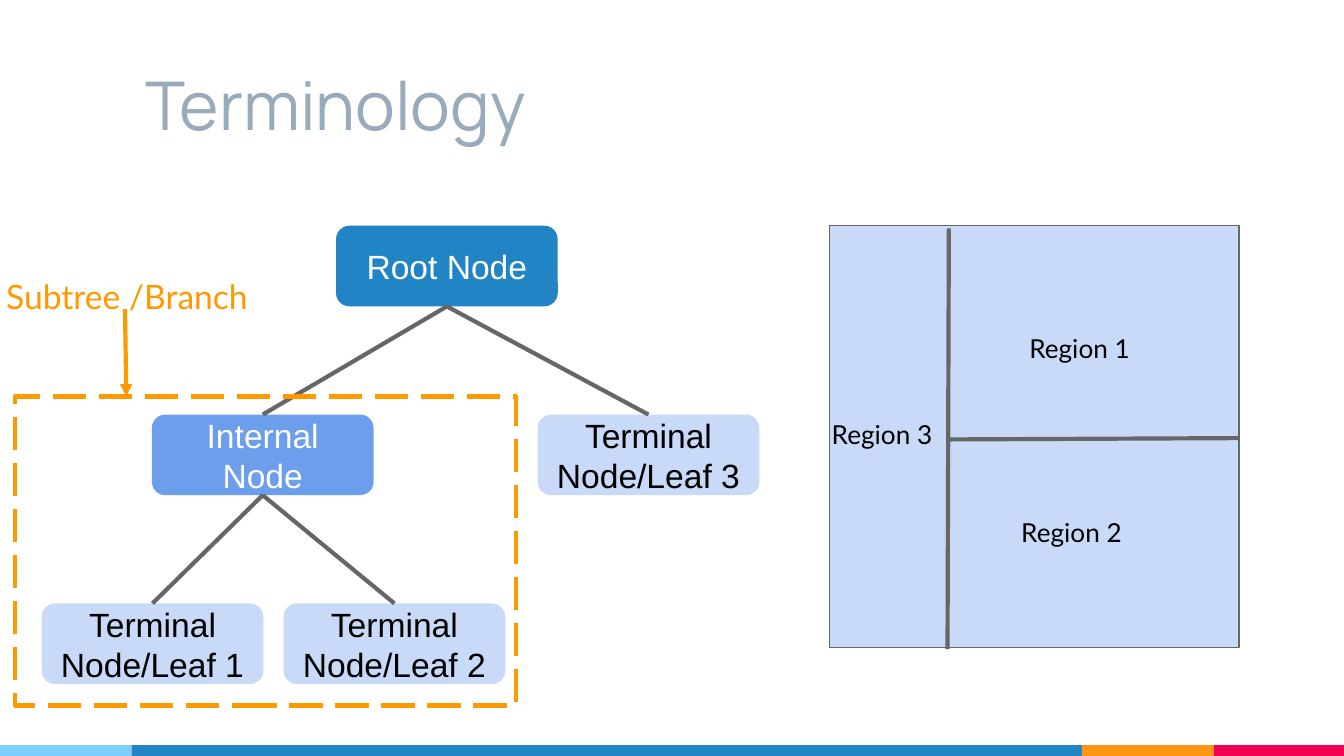
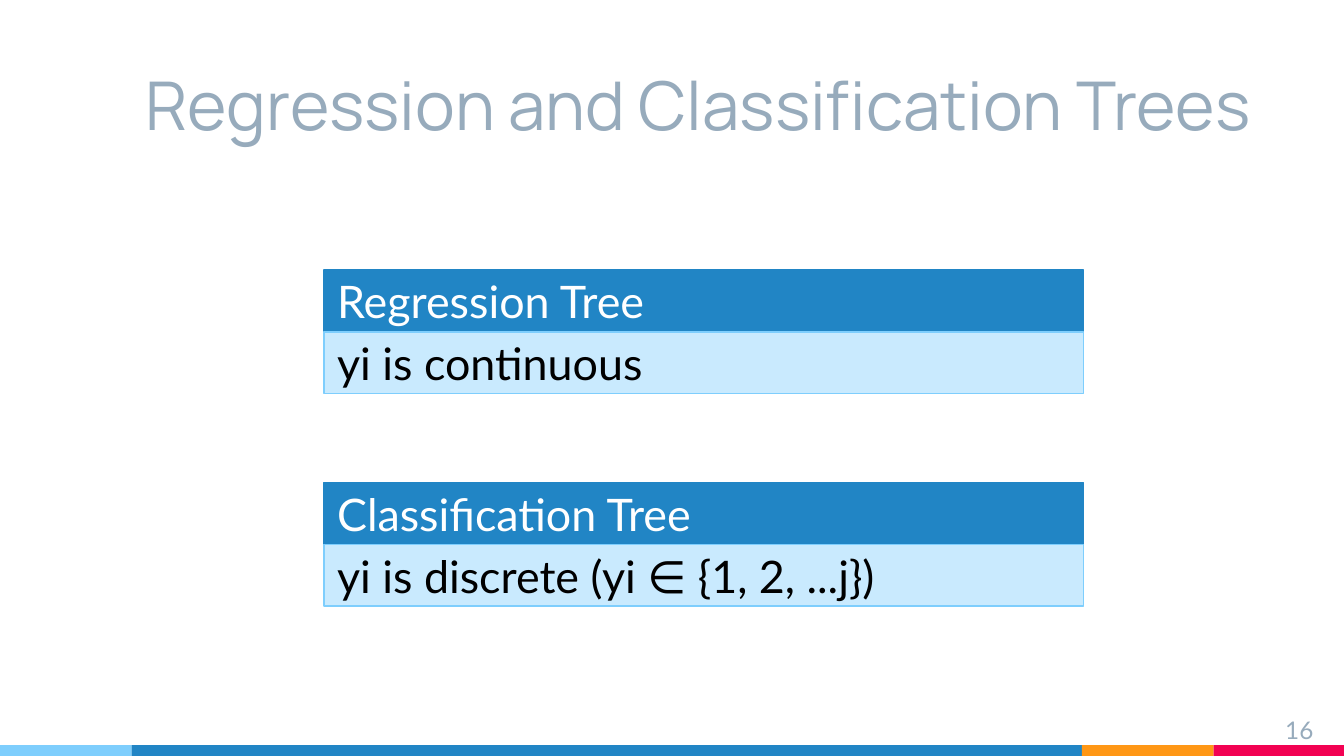
from lxml import etree
from pptx import Presentation
from pptx.dml.color import RGBColor
from pptx.enum.dml import MSO_LINE
from pptx.enum.shapes import MSO_CONNECTOR, MSO_SHAPE
from pptx.enum.text import MSO_ANCHOR, MSO_AUTO_SIZE, PP_ALIGN
from pptx.oxml.ns import qn
from pptx.util import Inches, Pt

RECT, ROUNDED = MSO_SHAPE.RECTANGLE, MSO_SHAPE.ROUNDED_RECTANGLE
STRAIGHT, DASH = MSO_CONNECTOR.STRAIGHT, MSO_LINE.LONG_DASH
LEFT, CENTER, RIGHT = PP_ALIGN.LEFT, PP_ALIGN.CENTER, PP_ALIGN.RIGHT
TOP, MIDDLE, BOTTOM = MSO_ANCHOR.TOP, MSO_ANCHOR.MIDDLE, MSO_ANCHOR.BOTTOM

WHITE = RGBColor(0xFF, 0xFF, 0xFF)
BLACK = RGBColor(0, 0, 0)
BLUE = RGBColor(0x21, 0x85, 0xC5)
SKY = RGBColor(0x7E, 0xCE, 0xFD)
AMBER = RGBColor(0xFF, 0x97, 0x15)
PINK = RGBColor(0xF2, 0x02, 0x53)
SLATE = RGBColor(0x97, 0xAB, 0xBC)
GRAY = RGBColor(0x66, 0x66, 0x66)
CORNFLOWER = RGBColor(0x6D, 0x9E, 0xEB)
PALE = RGBColor(0xC9, 0xDA, 0xF8)
ORANGE = RGBColor(0xFF, 0x99, 0x00)

WIDTH, HEIGHT = 10, 5.625
MARGIN = 0.98
BAND_HEIGHT = 0.08
BAND = [(SKY, MARGIN), (BLUE, 7.07), (AMBER, MARGIN), (PINK, MARGIN)]
THIN, THICK = 0.75, 2.25

NODE_WIDTH, NODE_HEIGHT = 1.65, 0.6
TREE_TOP, LEVEL_PITCH = 1.68, 1.405
NODES = {
    "root": ("Root Node", 2.5, 0, BLUE, WHITE),
    "internal": ("Internal Node", 1.13, 1, CORNFLOWER, WHITE),
    "leaf 3": ("Terminal Node/Leaf 3", 4, 1, PALE, BLACK),
    "leaf 1": ("Terminal Node/Leaf 1", 0.31, 2, PALE, BLACK),
    "leaf 2": ("Terminal Node/Leaf 2", 2.11, 2, PALE, BLACK),
}
BRANCHES = [("root", "internal"), ("root", "leaf 3"),
            ("internal", "leaf 1"), ("internal", "leaf 2")]

PLANE = (6.17, 1.68, 3.05, 3.14)
SPLITS = [((7.06, 1.7), (7.05, 4.83)), ((9.22, 3.26), (7.05, 3.27))]
REGIONS = [("Region 1", 7.56, 2.37), ("Region 2", 7.5, 3.74),
           ("Region 3", 6.09, 3.01)]
SUBTREE = (0.11, 2.95, 3.73, 2.3)

CARD_LEFT, CARD_WIDTH, ROW_HEIGHT = 2.41, 5.65, 0.46
CARD_TOP, CARD_PITCH = 2.01, 1.58
CARDS = [("Regression Tree", "yi is continuous"),
         ("Classification Tree", "yi is discrete (yi ∈ {1, 2, ...j})")]


def write(shape, text, size=18, font="Lato", color=BLACK, align=LEFT, anchor=TOP):
    frame = shape.text_frame
    frame.text = text
    frame.word_wrap = True
    frame.auto_size = MSO_AUTO_SIZE.NONE
    frame.vertical_anchor = anchor
    frame.margin_left = frame.margin_right = Inches(0.1)
    frame.margin_top = frame.margin_bottom = Inches(0.1)
    paragraph = frame.paragraphs[0]
    paragraph.alignment = align
    style = paragraph.runs[0].font
    style.size, style.name, style.color.rgb = Pt(size), font, color


def label(shapes, box, text, **style):
    write(shapes.add_textbox(*map(Inches, box)), text, **style)


def block(shapes, box, fill=None, outline=None, weight=THIN, kind=RECT, alpha=None):
    shape = shapes.add_shape(kind, *map(Inches, box))
    shape.shadow.inherit = False
    if fill is None:
        shape.fill.background()
    else:
        shape.fill.solid()
        shape.fill.fore_color.rgb = fill
    if alpha:
        tint = shape.fill._xPr.find(qn("a:solidFill"))[0]
        etree.SubElement(tint, qn("a:alpha"), val=str(alpha * 1000))
    if outline is None:
        shape.line.fill.background()
    else:
        shape.line.color.rgb = outline
        shape.line.width = Pt(weight)
    return shape


def connect(shapes, start=(0, 0), end=(0, 0), color=GRAY, arrow=False):
    link = shapes.add_connector(STRAIGHT, *map(Inches, (*start, *end)))
    link.line.color.rgb = color
    link.line.width = Pt(THICK)
    if arrow:
        etree.SubElement(link.line._get_or_add_ln(), qn("a:tailEnd"), type="triangle")
    etree.SubElement(link._element.spPr, qn("a:effectLst"))
    return link


def add_slide(deck, title, title_width):
    slide = deck.slides.add_slide(deck.slide_layouts[5])
    left = 0
    for color, width in BAND:
        block(slide.shapes, (left, HEIGHT - BAND_HEIGHT, width, BAND_HEIGHT), color)
        left += width
    heading = slide.shapes.title
    heading.left, heading.top = Inches(MARGIN), Inches(0.23)
    heading.width, heading.height = Inches(title_width), Inches(0.94)
    write(heading, title, size=36, font="Manrope", color=SLATE, anchor=BOTTOM)
    return slide.shapes


def draw_tree(shapes):
    nodes = {}
    for key, (text, left, level, fill, color) in NODES.items():
        box = (left, TREE_TOP + level * LEVEL_PITCH, NODE_WIDTH, NODE_HEIGHT)
        nodes[key] = block(shapes, box, fill, kind=ROUNDED)
        write(nodes[key], text, font="Arial", color=color, align=CENTER, anchor=MIDDLE)
    for parent, child in BRANCHES:
        branch = connect(shapes)
        branch.begin_connect(nodes[parent], 2)
        branch.end_connect(nodes[child], 0)


def draw_regions(shapes):
    block(shapes, PLANE, PALE, GRAY)
    for start, end in SPLITS:
        connect(shapes, start, end)
    for text, left, top in REGIONS:
        label(shapes, (left, top, 1.28, 0.49), text, size=14)


def draw_subtree(shapes):
    frame = block(shapes, SUBTREE, outline=ORANGE, weight=THICK)
    frame.line.dash_style = DASH
    label(shapes, (-0.1, 1.95, 2.09, 0.51), "Subtree /Branch",
          color=ORANGE, align=CENTER)
    connect(shapes, (0.93, 2.3), (0.94, SUBTREE[1]), ORANGE, arrow=True)


def draw_card(shapes, top, heading, definition):
    rows = [(heading, BLUE, WHITE, None), (definition, SKY, BLACK, 41)]
    for index, (text, fill, color, alpha) in enumerate(rows):
        box = (CARD_LEFT, top + index * ROW_HEIGHT, CARD_WIDTH, ROW_HEIGHT)
        row = block(shapes, box, fill, fill, alpha=alpha)
        write(row, text, size=24, color=color, anchor=MIDDLE)


def main():
    deck = Presentation()
    deck.slide_width, deck.slide_height = Inches(WIDTH), Inches(HEIGHT)

    terminology = add_slide(deck, "Terminology", 7.07)
    draw_tree(terminology)
    draw_regions(terminology.add_group_shape().shapes)
    draw_subtree(terminology.add_group_shape().shapes)

    tree_types = add_slide(deck, "Regression and Classification Trees", 8.51)
    label(tree_types, (9.27, 5.22, 0.6, 0.34), "16", size=13, color=SLATE, align=RIGHT)
    for index, card in enumerate(CARDS):
        group = tree_types.add_group_shape()
        draw_card(group.shapes, CARD_TOP + index * CARD_PITCH, *card)

    deck.save("out.pptx")


if __name__ == "__main__":
    main()
